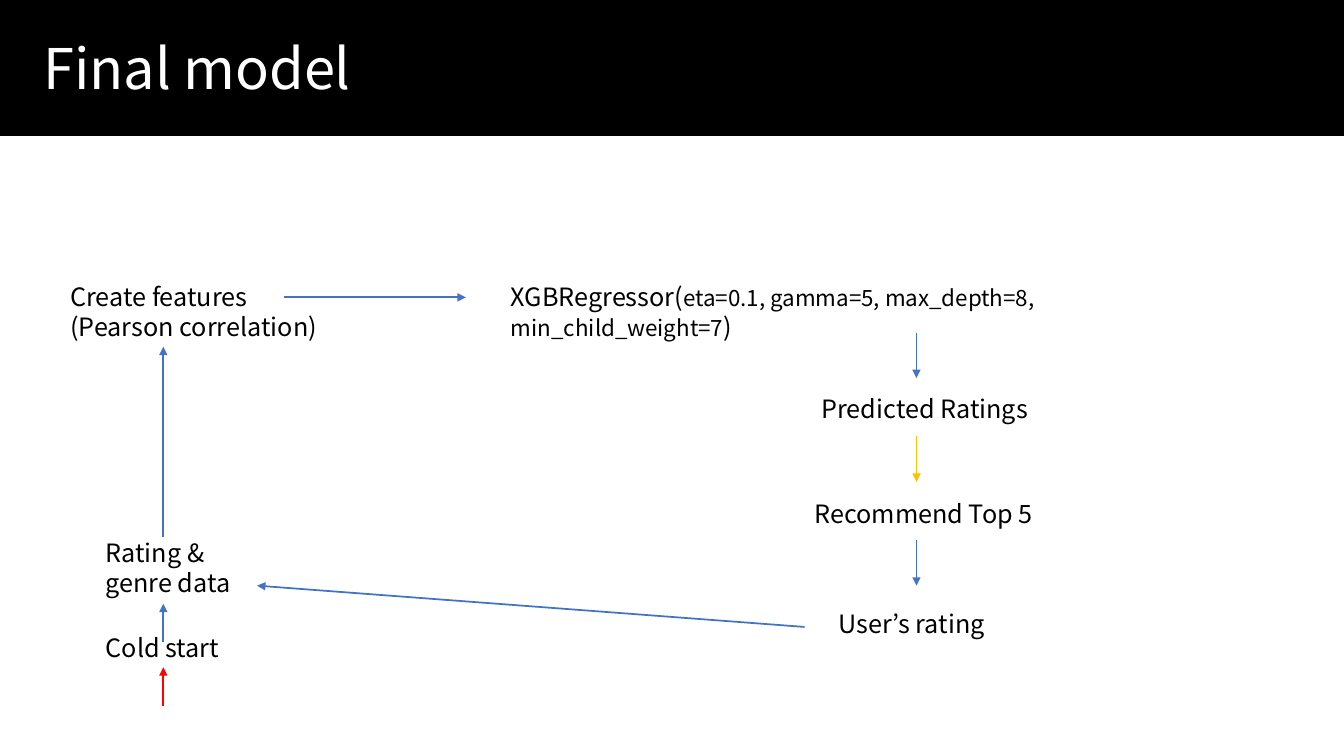
from pptx import Presentation
from pptx.dml.color import RGBColor
from pptx.enum import shapes, text
from pptx.oxml import ns
from pptx.util import Inches, Pt
from lxml import etree

FONT = "Noto Sans CJK KR"
HUES = {"black": "000000", "white": "FFFFFF", "blue": "4472C4",
        "gold": "FFC000", "red": "FF0000"}
TITLE = "Final model"

# Steps: left, top, width, height, paragraphs of (words, size) runs
STEPS = [
    (0.95, 6.22, 1.61, 0.4, [[("Cold start", 18)]]),
    (0.95, 5.28, 1.61, 0.71, [[("Rating & genre data", 18)]]),
    (0.6, 2.74, 2.73, 0.71, [[("Create features", 18)],
                             [("(Pearson correlation)", 18)]]),
    (4.97, 2.74, 6.5, 0.71, [[
        ("XGBRegressor(", 18),
        ("eta=0.1, gamma=5, max_depth=8, min_child_weight=7", 16),
        (")", 18)]]),
    (8.05, 3.85, 2.73, 0.4, [[("Predicted Ratings", 18)]]),
    (7.98, 4.89, 2.73, 0.4, [[("Recommend Top 5", 18)]]),
    (8.22, 5.99, 2.73, 0.4, [[("User’s rating", 18)]]),
]

# Arrows: start x, start y, end x, end y, colour
LEFT, RIGHT, DROP = 1.62, 9.09, 0.45
ARROWS = [
    (LEFT, 7, LEFT, 6.62, "red"),
    (LEFT, 6.37, LEFT, 5.99, "blue"),
    (LEFT, 5.33, LEFT, 3.44, "blue"),
    (2.82, 2.95, 4.62, 2.95, "blue"),
    (7.98, 6.22, 2.55, 5.81, "blue"),
] + [(RIGHT, top, RIGHT, top + DROP, hue)
     for top, hue in [(3.3, "blue"), (4.33, "gold"), (5.36, "blue")]]


def color(name):
    return RGBColor.from_string(HUES[name])


def style(font, hue, size=None):
    font.name = FONT
    font.color.rgb = color(hue)
    if size:
        font.size = Pt(size)


def add_step(slide, left, top, width, height, paras):
    box = slide.shapes.add_textbox(*map(Inches, (left, top, width, height)))
    frame = box.text_frame
    frame.word_wrap = True
    for i, runs in enumerate(paras):
        para = frame.add_paragraph() if i else frame.paragraphs[0]
        style(para.font, "black")
        for words, size in runs:
            run = para.add_run()
            run.text = words
            style(run.font, "black", size)


def add_arrow(slide, x1, y1, x2, y2, hue):
    arrow = slide.shapes.add_connector(
        shapes.MSO_CONNECTOR.STRAIGHT, *map(Inches, (x1, y1, x2, y2)))
    arrow.line.color.rgb = color(hue)
    arrow.line.width = Pt(1.25)
    line = arrow.line._get_or_add_ln()
    etree.SubElement(line, ns.qn("a:tailEnd"), type="triangle")
    etree.SubElement(arrow._element.spPr, ns.qn("a:effectLst"))


deck = Presentation()
deck.slide_width, deck.slide_height = Inches(13.33), Inches(7.5)
slide = deck.slides.add_slide(deck.slide_layouts[5])

# Header band, sent behind the title
band = slide.shapes.add_shape(shapes.MSO_SHAPE.RECTANGLE, 0, 0,
                              deck.slide_width, Inches(1.34))
band.shadow.inherit = False
band.fill.solid()
band.fill.fore_color.rgb = color("black")
band.line.color.rgb = color("black")
band.line.width = Pt(1)
slide.shapes._spTree.insert(2, band._element)

# Title
title = slide.shapes.title
title.left, title.top, title.width, title.height = map(
    Inches, (0.33, 0.28, 11.1, 0.77))
title.text = TITLE
frame = title.text_frame
frame.auto_size = text.MSO_AUTO_SIZE.NONE
frame.vertical_anchor = text.MSO_ANCHOR.TOP
frame.paragraphs[0].alignment = text.PP_ALIGN.LEFT
style(frame.paragraphs[0].font, "white", 40)

# Flow
for step in STEPS:
    add_step(slide, *step)
for arrow in ARROWS:
    add_arrow(slide, *arrow)

deck.save("out.pptx")
